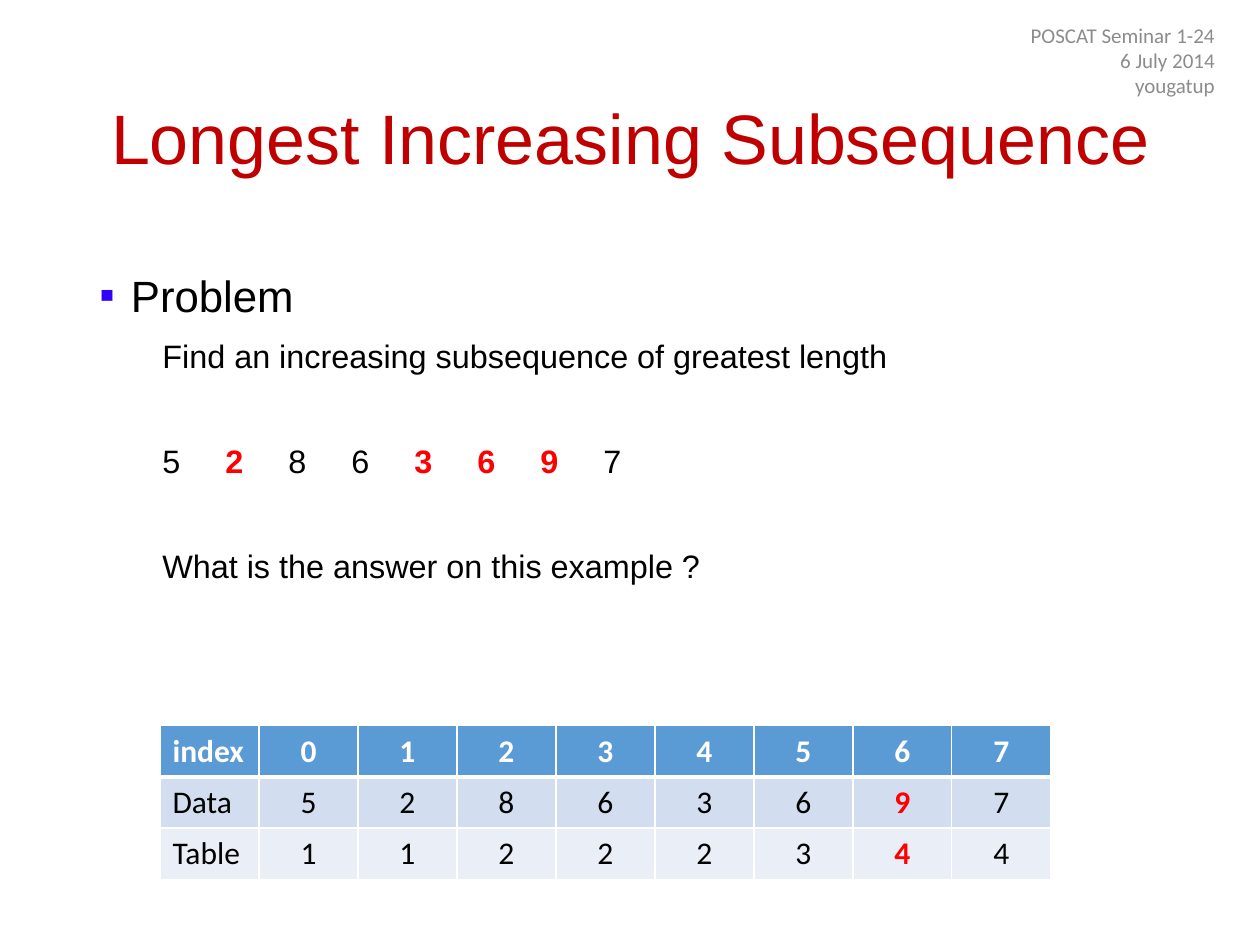
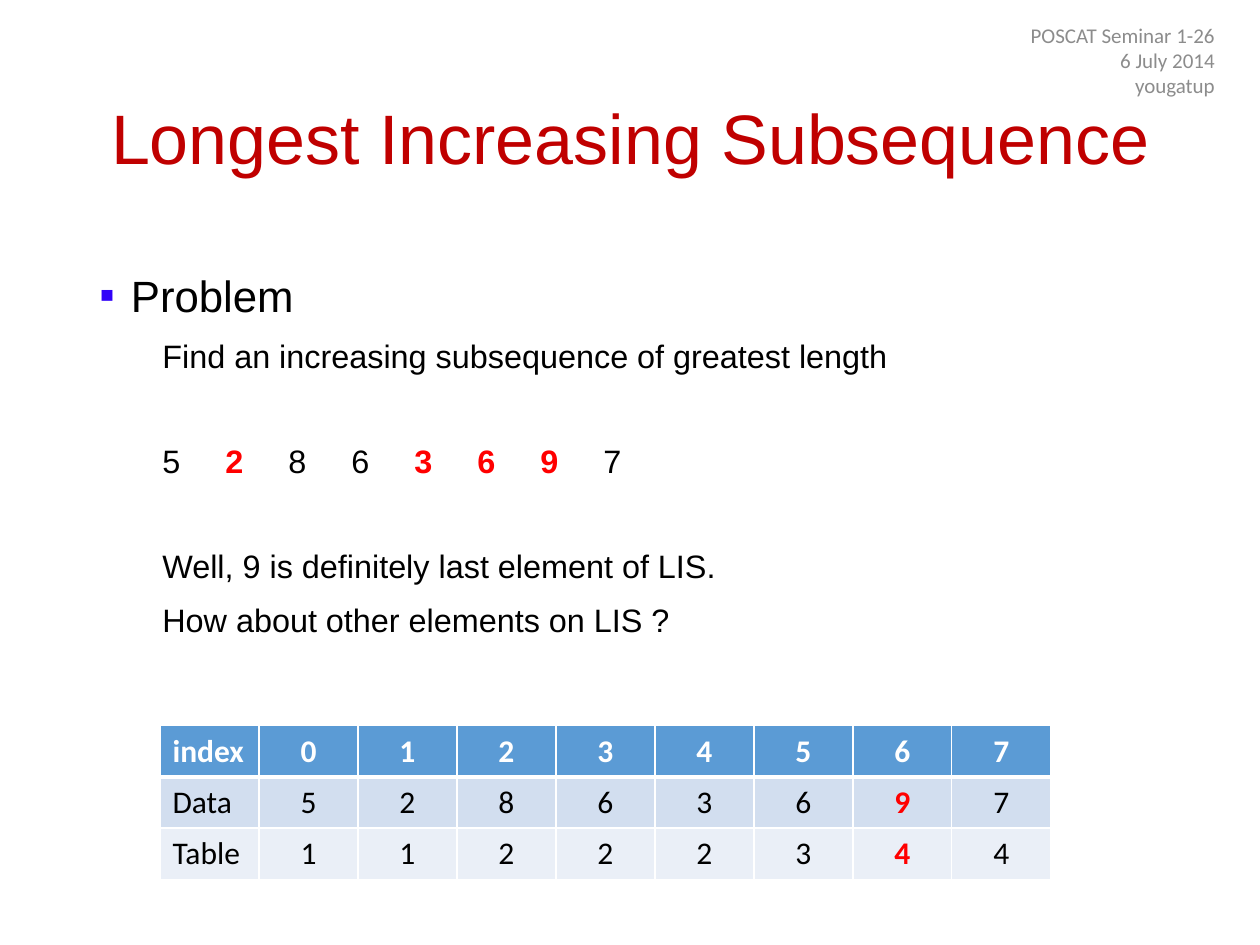
from lxml.etree import SubElement as Sub
from pptx import Presentation
from pptx.dml.color import RGBColor
from pptx.enum.text import MSO_ANCHOR as Anchor, PP_ALIGN as Align
from pptx.oxml.ns import qn
from pptx.util import Inches, Pt

# Shared look
RED, BLACK, WHITE, GREY = "C00000", "000000", "FFFFFF", "8C8C8C"
MARK, BULLET = "FF0000", "3102F8"
FILLS = ["5B9BD5", "D2DEEF", "EAEFF7"]
HEAD, BODY = "Arial", "Calibri"

# Shared content
TITLE = "Longest Increasing Subsequence"
TASK = "Find an increasing subsequence of greatest length"
DATA = [5, 2, 8, 6, 3, 6, 9, 7]
LENGTHS = [1, 1, 2, 2, 2, 3, 4, 4]
CHOSEN = {1, 4, 5, 6}  # positions of the subsequence
LAST = 6  # position of its last element
SLIDES = [
    (24, ["What is the answer on this example ?"]),
    (26, ["Well, 9 is definitely last element of LIS.",
          "How about other elements on LIS ?"]),
]


def color(code):
    return RGBColor.from_string(code)


def add_run(para, text, size=18, font=HEAD, fill=BLACK, bold=False):
    run = para.add_run()
    run.text = text
    run.font.size, run.font.name = Pt(size), font
    run.font.bold = bold
    run.font.color.rgb = color(fill)


def add_text(frame, text="", align=Align.LEFT, line=None, before=0,
             indent=0, level=0, **look):
    """Fill the empty first paragraph, or add a new one."""
    para = frame.paragraphs[0]
    if para.runs:
        para = frame.add_paragraph()
    para.alignment, para.level = align, level
    para.space_before = Pt(before)
    if line:
        para.line_spacing = line
    props = para._p.get_or_add_pPr()
    props.set("marL", str(Inches(indent)))
    props.set("indent", "0")
    if text:
        add_run(para, text, **look)
    return para


def add_box(slide, box, anchor=Anchor.TOP):
    frame = slide.shapes.add_textbox(*map(Inches, box)).text_frame
    frame.word_wrap = True
    frame.vertical_anchor = anchor
    return frame


def add_title(slide, box):
    frame = add_box(slide, box, Anchor.MIDDLE)
    add_text(frame, TITLE, align=Align.CENTER, line=0.9, size=40, fill=RED)


def add_header(slide, box, page):
    frame = add_box(slide, box, Anchor.MIDDLE)
    for text in (f"POSCAT Seminar 1-{page}", "6 July 2014", "yougatup"):
        add_text(frame, text, align=Align.RIGHT, size=12, font=BODY, fill=GREY)


def set_bullet(para, sign, fill):
    props = para._p.get_or_add_pPr()
    props.set("indent", str(-Inches(0.25)))
    Sub(Sub(props, qn("a:buClr")), qn("a:srgbClr"), val=fill)
    Sub(props, qn("a:buFont"), typeface=HEAD)
    Sub(props, qn("a:buChar"), char=sign)


def set_tabs(para, start, step, count):
    tabs = Sub(para._p.get_or_add_pPr(), qn("a:tabLst"))
    for i in range(count):
        Sub(tabs, qn("a:tab"), pos=str(Inches(start + i * step)), algn="l")


def add_body(slide, box, notes):
    frame = add_box(slide, box)
    near, far = 4, 33.5  # space before a line, in points
    top = add_text(frame, "Problem", line=1.2, indent=0.25, size=25)
    set_bullet(top, "▪", BULLET)
    style = dict(line=1.2, level=1, size=18.5)
    add_text(frame, TASK, before=near, indent=0.5, **style)

    # Number row, one tab stop for each number
    row = add_text(frame, before=far, line=1.2, level=1)
    set_tabs(row, 2.48, 0.5, len(DATA))
    for i, value in enumerate(DATA):
        hit = i in CHOSEN
        add_run(row, f"\t{value}", size=18.5, bold=hit,
                fill=MARK if hit else BLACK)

    for i, note in enumerate(notes):
        add_text(frame, note, before=near if i else far, indent=0.5, **style)


def set_edges(cell, base):
    props = cell._tc.get_or_add_tcPr()
    for side in "LRTB":
        width = base if side == "B" else 1
        edge = Sub(props, qn(f"a:ln{side}"), w=str(Pt(width)))
        Sub(Sub(edge, qn("a:solidFill")), qn("a:srgbClr"), val=WHITE)


def add_grid(slide, box):
    rows = [["index", *range(len(DATA))], ["Data", *DATA], ["Table", *LENGTHS]]
    grid = slide.shapes.add_table(
        len(rows), len(rows[0]), *map(Inches, box)).table
    for r, values in enumerate(rows):
        for c, value in enumerate(values):
            cell = grid.cell(r, c)
            top, hit = r == 0, r > 0 and c == LAST + 1
            set_edges(cell, 3 if top else 1)
            cell.fill.solid()
            cell.fill.fore_color.rgb = color(FILLS[r])
            add_text(cell.text_frame, str(value), font=BODY, bold=top or hit,
                     align=Align.CENTER if c else Align.LEFT,
                     fill=WHITE if top else MARK if hit else BLACK)


def add_slide(deck, page, notes):
    slide = deck.slides.add_slide(deck.slide_layouts[6])
    add_title(slide, (0.69, 0.4, 8.62, 1.45))
    add_body(slide, (0.69, 2, 8.95, 4.76), notes)
    add_header(slide, (7.49, 0.2, 2.25, 0.55), page)
    add_grid(slide, (1.27, 5.76, 7.07, 1.22))


def main():
    deck = Presentation()
    deck.slide_width, deck.slide_height = Inches(10), Inches(7.5)
    for page, notes in SLIDES:
        add_slide(deck, page, notes)
    deck.save("out.pptx")


if __name__ == "__main__":
    main()
